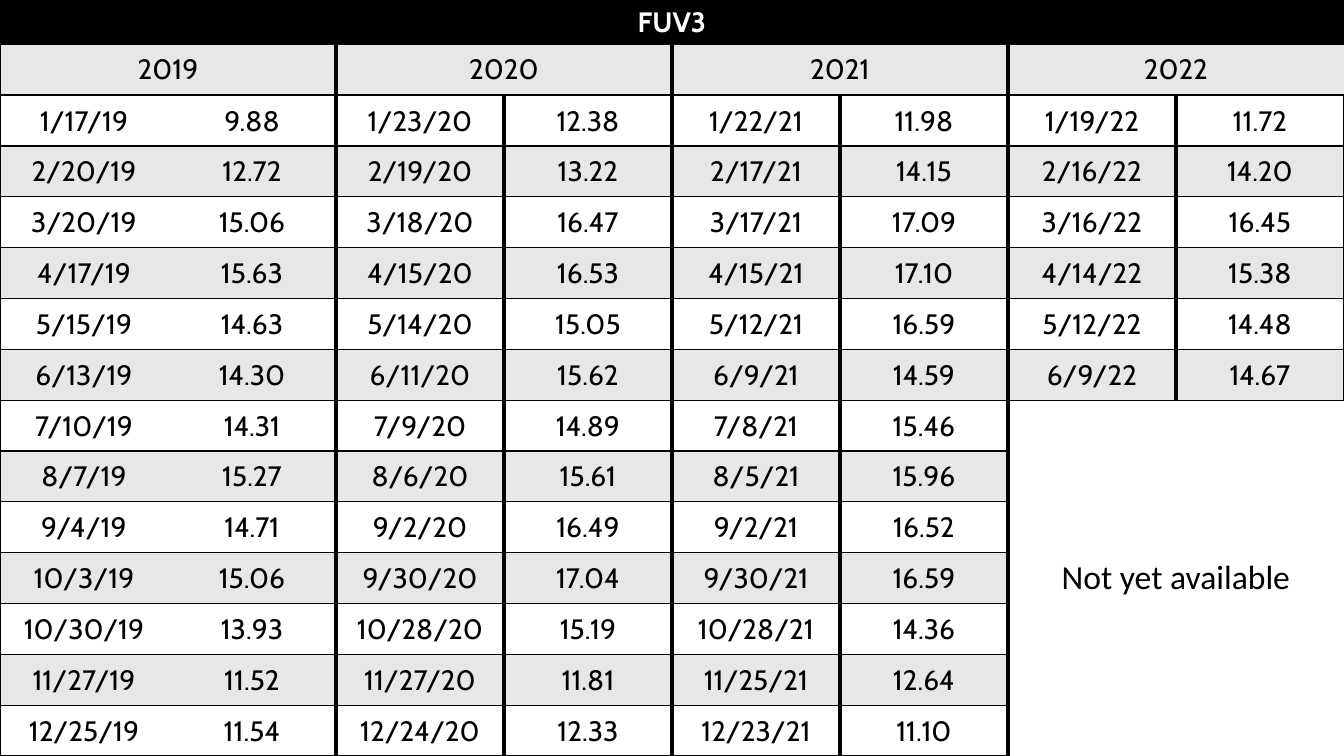
from dataclasses import dataclass

from lxml import etree
from pptx import Presentation
from pptx.dml.color import RGBColor
from pptx.enum.text import MSO_ANCHOR, PP_ALIGN
from pptx.oxml.ns import qn
from pptx.table import Table, _Cell
from pptx.util import Pt

CENTER = PP_ALIGN.CENTER
MIDDLE = MSO_ANCHOR.MIDDLE

WIDTH, HEIGHT = 960, 540
TITLE_H = 31.5
ROWS, COLS = 15, 8
FIRST_DATA_ROW = 2
BLACK, WHITE, GRAY = "000000", "FFFFFF", "E7E7E7"


@dataclass
class Year:
    label: str
    dates: str
    values: str


@dataclass
class Block:
    row: int
    col: int
    rows: int = 1
    cols: int = 1


YEARS = [
    Year("2019",
         "1/17/19 2/20/19 3/20/19 4/17/19 5/15/19 6/13/19 7/10/19 "
         "8/7/19 9/4/19 10/3/19 10/30/19 11/27/19 12/25/19",
         "9.88 12.72 15.06 15.63 14.63 14.30 14.31 15.27 14.71 15.06 13.93 11.52 11.54"),
    Year("2020",
         "1/23/20 2/19/20 3/18/20 4/15/20 5/14/20 6/11/20 7/9/20 "
         "8/6/20 9/2/20 9/30/20 10/28/20 11/27/20 12/24/20",
         "12.38 13.22 16.47 16.53 15.05 15.62 14.89 15.61 16.49 17.04 15.19 11.81 12.33"),
    Year("2021",
         "1/22/21 2/17/21 3/17/21 4/15/21 5/12/21 6/9/21 7/8/21 "
         "8/5/21 9/2/21 9/30/21 10/28/21 11/25/21 12/23/21",
         "11.98 14.15 17.09 17.10 16.59 14.59 15.46 15.96 16.52 16.59 14.36 12.64 11.10"),
    Year("2022",
         "1/19/22 2/16/22 3/16/22 4/14/22 5/12/22 6/9/22",
         "11.72 14.20 16.45 15.38 14.48 14.67"),
]


def color(value: str) -> RGBColor:
    return RGBColor.from_string(value)


def vertical_width(edge: int) -> int:
    """Thin at the table's sides, none inside 2019, thick elsewhere."""
    return {0: 1, 1: 0, COLS: 1}.get(edge, 3)


def add_border(cell: _Cell, side: str, width: int) -> None:
    ln = etree.SubElement(cell._tc.get_or_add_tcPr(), qn(f"a:ln{side}"), w=str(Pt(width)))
    if width:
        fill = etree.SubElement(ln, qn("a:solidFill"))
        etree.SubElement(fill, qn("a:srgbClr"), val=str(color(BLACK)))
    else:
        etree.SubElement(ln, qn("a:noFill"))


def write(cell: _Cell, text: str, size: float = 20, font: str = "Cabin",
          ink: str = BLACK, bold: bool = False) -> None:
    cell.vertical_anchor = MIDDLE
    p = cell.text_frame.paragraphs[0]
    p.alignment = CENTER
    r = p.add_run()
    r.text = text
    r.font.size = Pt(size)
    r.font.name = font
    r.font.bold = bold
    r.font.color.rgb = color(ink)


def draw_block(table: Table, b: Block, text: str, fill: str, **style) -> None:
    bottom, right = b.row + b.rows, b.col + b.cols
    for row in range(b.row, bottom):
        for col in range(b.col, right):
            cell = table.cell(row, col)
            # Borders only on the outer edges of the block
            add_border(cell, "L", vertical_width(col) if col == b.col else 0)
            add_border(cell, "R", vertical_width(col + 1) if col + 1 == right else 0)
            add_border(cell, "T", int(row == b.row))
            add_border(cell, "B", int(row + 1 == bottom))
            cell.fill.solid()
            cell.fill.fore_color.rgb = color(fill)
            if row >= FIRST_DATA_ROW:
                cell.margin_left = cell.margin_right = cell.margin_top = Pt(0.72)
                cell.margin_bottom = Pt(0)
    origin = table.cell(b.row, b.col)
    if b.rows * b.cols > 1:
        origin.merge(table.cell(bottom - 1, right - 1))
    write(origin, text, **style)


def draw_year(table: Table, col: int, year: Year) -> None:
    draw_block(table, Block(1, col, cols=2), year.label, GRAY)
    readings = zip(year.dates.split(), year.values.split())
    for row, reading in enumerate(readings, FIRST_DATA_ROW):
        for offset, text in enumerate(reading):
            draw_block(table, Block(row, col + offset), text, GRAY if row % 2 else WHITE)


def main() -> None:
    prs = Presentation()
    prs.slide_width, prs.slide_height = Pt(WIDTH), Pt(HEIGHT)
    s = prs.slides.add_slide(prs.slide_layouts[6])

    # Table grid
    table = s.shapes.add_table(ROWS, COLS, Pt(0), Pt(0), Pt(WIDTH), Pt(HEIGHT)).table
    table.first_row = table.horz_banding = False
    for column in table.columns:
        column.width = Pt(WIDTH / COLS)
    for i, row in enumerate(table.rows):
        row.height = Pt((HEIGHT - TITLE_H) / (ROWS - 1) if i else TITLE_H)

    # Title, years and the months still to come
    draw_block(table, Block(0, 0, cols=COLS), "FUV3", BLACK, ink=WHITE, bold=True)
    for i, year in enumerate(YEARS):
        draw_year(table, 2 * i, year)
    draw_block(table, Block(8, 6, rows=7, cols=2), "Not yet available", WHITE,
               size=24, font="Calibri")

    prs.save("out.pptx")


if __name__ == "__main__":
    main()
